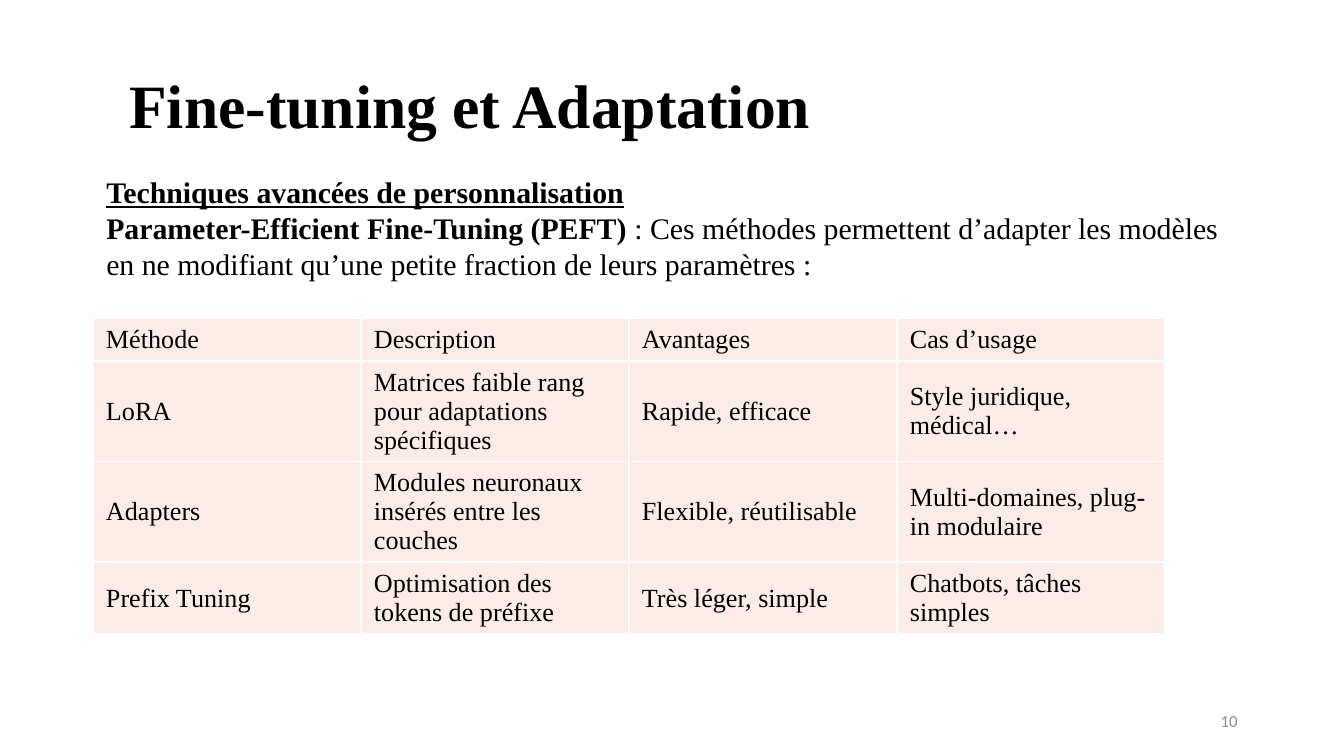
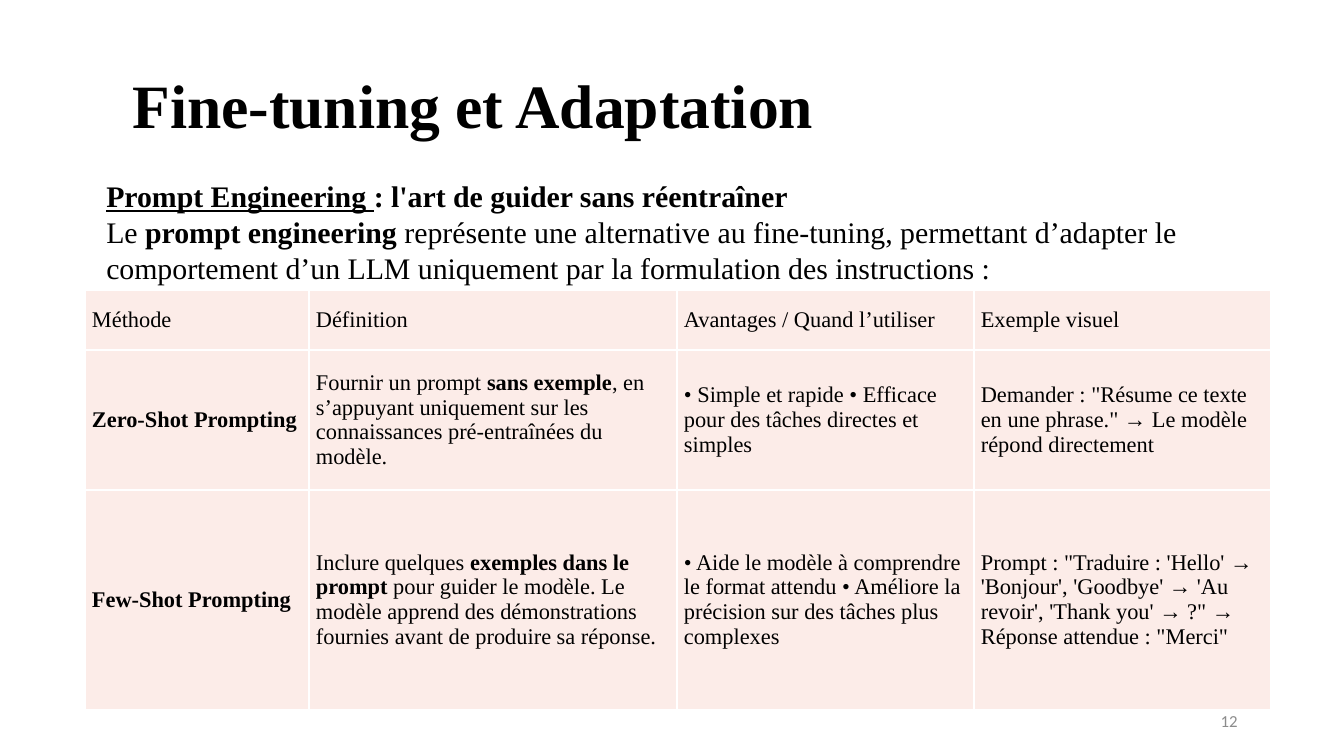
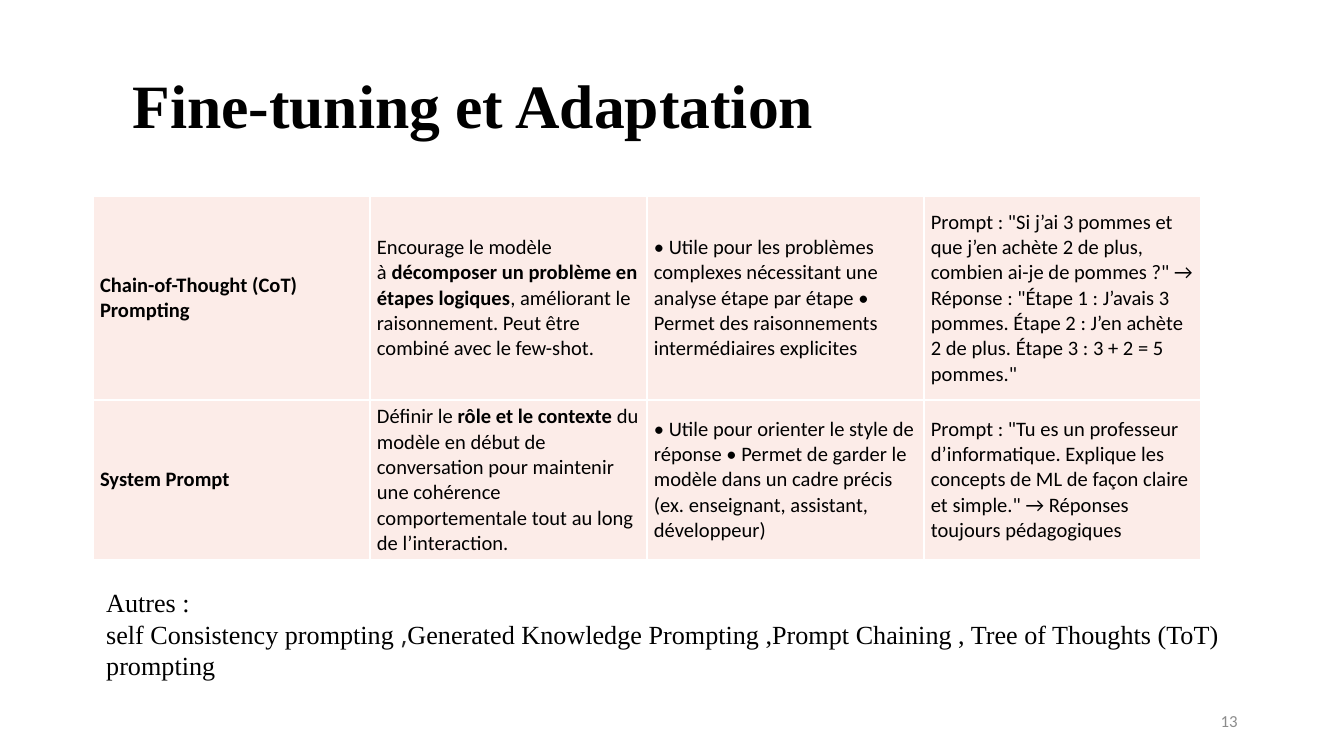
import dataclasses

import lxml.etree
import pptx
import pptx.dml.color
import pptx.enum.text
import pptx.oxml.ns
import pptx.util

EMU_PER_PX = 914400 / 134.4
SERIF = "Times New Roman"
SANS = "Calibri"
BLACK = "000000"
DARK_GREY = "262626"
GREY = "8C8C8C"
WHITE = "FFFFFF"
BLUSH = "FCECE8"
TITLE = "Fine-tuning et Adaptation"
TITLE_SIZE = 33
NUMBER_SIZE = 9
HARD_SPACE = chr(160)
TIGHT_MARGINS = (7, 3)
NORMAL_MARGINS = (13, 7)
MIDDLE = pptx.enum.text.MSO_ANCHOR.MIDDLE
TOP = pptx.enum.text.MSO_ANCHOR.TOP
LEFT = pptx.enum.text.PP_ALIGN.LEFT
RIGHT = pptx.enum.text.PP_ALIGN.RIGHT


@dataclasses.dataclass
class Span:
    text: str
    bold: bool = False
    underline: bool = False
    font: str = ""
    color: str = BLACK


def px(length):
    return pptx.util.Emu(round(length * EMU_PER_PX))


def rgb(color):
    return pptx.dml.color.RGBColor.from_string(color)


def bold(text):
    return Span(text, bold=True)


def fill_paragraph(para, spans, font, size):
    for span in spans:
        if isinstance(span, str):
            span = Span(span)
        run = para.add_run()
        run.text = span.text
        run.font.name = span.font or font
        run.font.size = pptx.util.Pt(size)
        run.font.bold = span.bold
        run.font.underline = span.underline
        run.font.color.rgb = rgb(span.color)


def format_frame(frame, anchor):
    frame.word_wrap = True
    frame.auto_size = pptx.enum.text.MSO_AUTO_SIZE.NONE
    frame.vertical_anchor = anchor


def add_page(deck, number, title_left):
    page = deck.slides.add_slide(deck.slide_layouts[5])
    title = page.shapes.title
    title.left, title.top = px(title_left), px(36)
    title.width, title.height = px(1158), px(146)
    format_frame(title.text_frame, MIDDLE)
    para = title.text_frame.paragraphs[0]
    para.alignment = LEFT
    para.line_spacing = 0.9
    fill_paragraph(para, [bold(TITLE)], SERIF, TITLE_SIZE)
    add_text(page, (949, 701, 302, 40), [[Span(number, color=GREY)]],
             SANS, NUMBER_SIZE, MIDDLE, RIGHT)
    return page


def add_text(page, place, paragraphs, font, size, anchor=TOP, alignment=LEFT):
    box = page.shapes.add_textbox(*map(px, place))
    frame = box.text_frame
    format_frame(frame, anchor)
    for index, spans in enumerate(paragraphs):
        para = frame.add_paragraph() if index else frame.paragraphs[0]
        para.alignment = alignment
        fill_paragraph(para, spans, font, size)


def set_borders(cell, color):
    properties = cell._tc.get_or_add_tcPr()
    qn = pptx.oxml.ns.qn
    for position, side in enumerate(("lnL", "lnR", "lnT", "lnB")):
        line = lxml.etree.Element(qn("a:" + side), w=str(pptx.util.Pt(1)))
        fill = lxml.etree.SubElement(line, qn("a:solidFill"))
        lxml.etree.SubElement(fill, qn("a:srgbClr"), val=color)
        properties.insert(position, line)


def format_cell(cell, content, font, size, margins):
    cell.fill.solid()
    cell.fill.fore_color.rgb = rgb(BLUSH)
    set_borders(cell, WHITE)
    cell.vertical_anchor = MIDDLE
    cell.margin_left = cell.margin_right = px(margins[0])
    cell.margin_top = cell.margin_bottom = px(margins[1])
    spans = content if isinstance(content, list) else [content]
    fill_paragraph(cell.text_frame.paragraphs[0], spans, font, size)


def add_grid(page, left, top, widths, heights, rows, font, size, margins):
    frame = page.shapes.add_table(len(heights), len(widths), px(left), px(top),
                                  px(sum(widths)), px(sum(heights)))
    table = frame.table
    table.first_row = False
    table.horz_banding = False
    for column, width in zip(table.columns, widths):
        column.width = px(width)
    for row, height, contents in zip(table.rows, heights, rows):
        row.height = px(height)
        for cell, content in zip(row.cells, contents):
            format_cell(cell, content, font, size, margins)


def build_peft(deck):
    page = add_page(deck, "10", 116)
    add_text(page, (93, 167, 1158, 554), [
        [Span("Techniques avancées de personnalisation", bold=True, underline=True)],
        [bold("Parameter-Efficient Fine-Tuning (PEFT)"),
         HARD_SPACE + ": Ces méthodes permettent d’adapter les modèles en ne modifiant "
         "qu’une petite fraction de leurs paramètres :"],
    ], SERIF, 16)
    rows = [
        ["Méthode", "Description", "Avantages", "Cas d’usage"],
        ["LoRA", "Matrices faible rang pour adaptations spécifiques",
         "Rapide, efficace", "Style juridique, médical…"],
        ["Adapters", "Modules neuronaux insérés entre les couches",
         "Flexible, réutilisable", "Multi-domaines, plug-in modulaire"],
        ["Prefix Tuning", "Optimisation des tokens de préfixe",
         "Très léger, simple", "Chatbots, tâches simples"],
    ]
    add_grid(page, 93, 318, [268] * 4, [41, 100, 100, 70], rows, SERIF, 14, NORMAL_MARGINS)


def build_prompting(deck):
    page = add_page(deck, "12", 119)
    add_text(page, (93, 171, 1172, 539), [
        [Span("Prompt Engineering ", bold=True, underline=True),
         bold(": l'art de guider sans réentraîner")],
        ["Le" + HARD_SPACE, bold("prompt engineering"),
         HARD_SPACE + "représente une alternative au fine-tuning, permettant d’adapter le "
         "comportement d’un LLM uniquement par la formulation des instructions :"],
    ], SERIF, 16)
    rows = [
        ["Méthode", "Définition", "Avantages / Quand l’utiliser", "Exemple visuel"],
        [bold("Zero-Shot Prompting"),
         ["Fournir un prompt" + HARD_SPACE, bold("sans exemple"),
          ", en s’appuyant uniquement sur les connaissances pré-entraînées du modèle."],
         "• Simple et rapide • Efficace pour des tâches directes et simples",
         'Demander : "Résume ce texte en une phrase." → Le modèle répond directement'],
        [bold("Few-Shot Prompting"),
         ["Inclure quelques" + HARD_SPACE, bold("exemples dans le prompt"),
          HARD_SPACE + "pour guider le modèle. Le modèle apprend des démonstrations "
          "fournies avant de produire sa réponse."],
         "• Aide le modèle à comprendre le format attendu • Améliore la "
         "précision sur des tâches plus complexes",
         "Prompt : \"Traduire : 'Hello' → 'Bonjour', 'Goodbye' → 'Au revoir', "
         "'Thank you' → ?\" → Réponse attendue : \"Merci\""],
    ]
    add_grid(page, 85, 290, [224, 368, 297, 297], [60, 140, 220], rows,
             SERIF, 12, TIGHT_MARGINS)


def build_reasoning(deck):
    page = add_page(deck, "13", 119)
    add_text(page, (93, 580, 1251, 110), [
        ["Autres :"],
        ["self Consistency prompting ", Span(",", font="Open Sans", color=DARK_GREY),
         "Generated Knowledge Prompting ,Prompt Chaining , Tree of Thoughts (ToT) prompting"],
    ], SERIF, 14)
    rows = [
        [bold("Chain-of-Thought (CoT) Prompting"),
         ["Encourage le modèle à" + HARD_SPACE,
          bold("décomposer un problème en étapes logiques"),
          ", améliorant le raisonnement. Peut être combiné avec le few-shot."],
         "• Utile pour les problèmes complexes nécessitant une analyse étape par "
         "étape • Permet des raisonnements intermédiaires explicites",
         'Prompt : "Si j’ai 3 pommes et que j’en achète 2 de plus, combien ai-je de '
         'pommes ?" → Réponse : "Étape 1 : J’avais 3 pommes. Étape 2 : J’en achète '
         '2 de plus. Étape 3 : 3 + 2 = 5 pommes."'],
        [bold("System Prompt"),
         ["Définir le" + HARD_SPACE, bold("rôle et le contexte"),
          HARD_SPACE + "du modèle en début de conversation pour maintenir une cohérence "
          "comportementale tout au long de l’interaction."],
         "• Utile pour orienter le style de réponse • Permet de garder le modèle "
         "dans un cadre précis (ex. enseignant, assistant, développeur)",
         'Prompt : "Tu es un professeur d’informatique. Explique les concepts de ML '
         'de façon claire et simple." → Réponses toujours pédagogiques'],
    ]
    add_grid(page, 93, 196, [277] * 4, [204, 160], rows, SANS, 11, TIGHT_MARGINS)


def main():
    deck = pptx.Presentation()
    deck.slide_width, deck.slide_height = px(1344), px(756)
    build_peft(deck)
    build_prompting(deck)
    build_reasoning(deck)
    deck.save("out.pptx")


if __name__ == "__main__":
    main()
